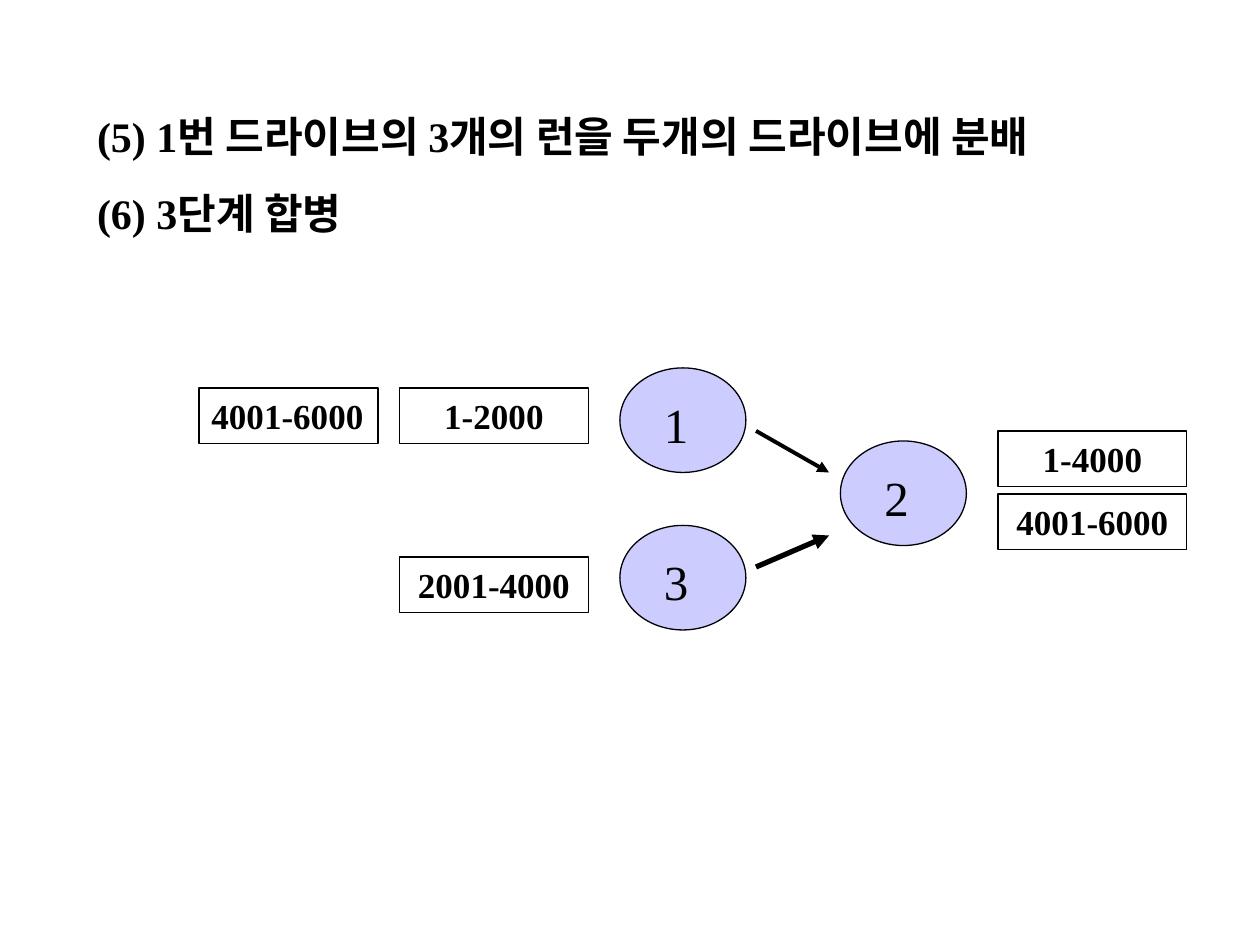
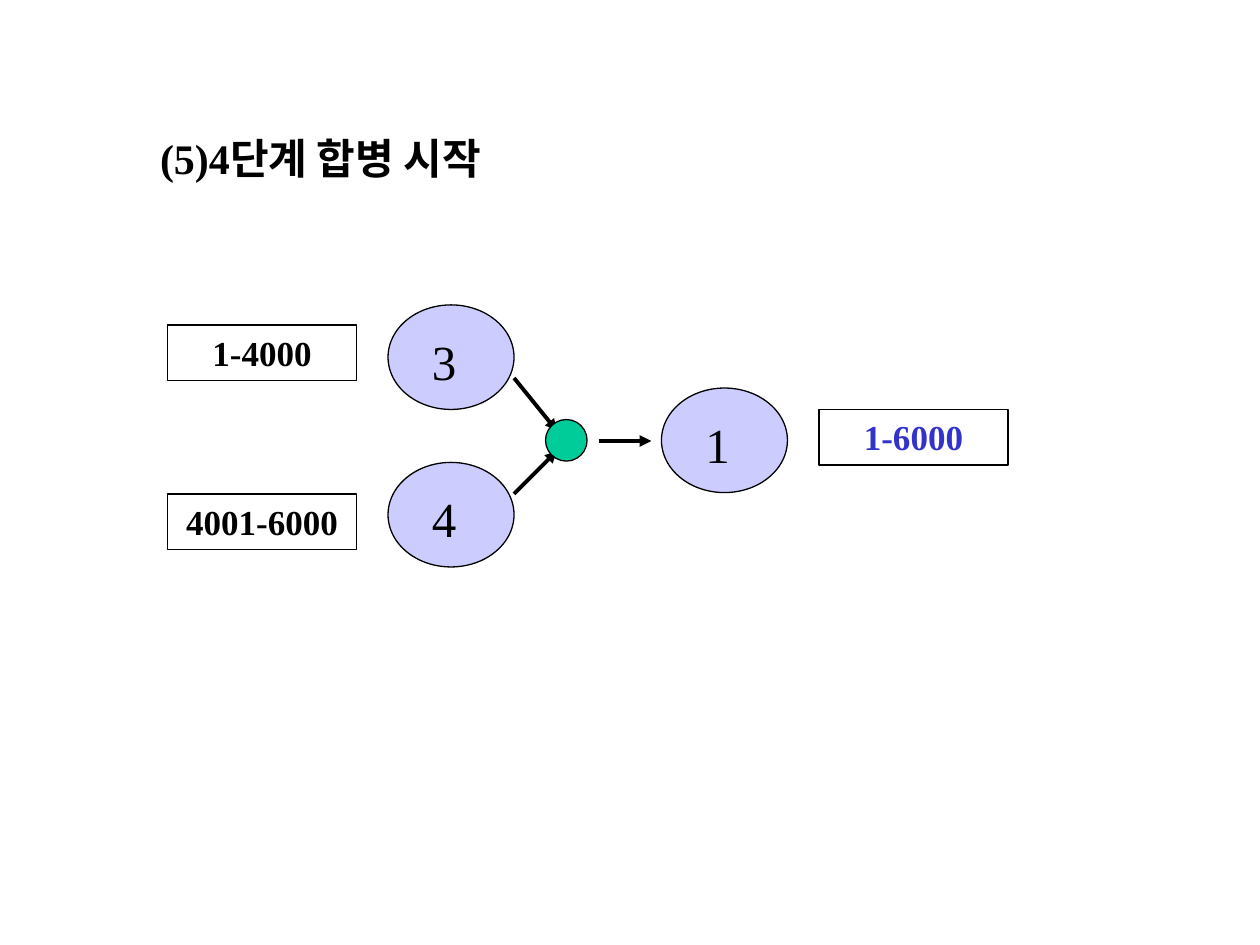
from dataclasses import dataclass

from lxml import etree
from pptx import Presentation
from pptx.dml.color import RGBColor
from pptx.enum.shapes import MSO_CONNECTOR, MSO_SHAPE
from pptx.enum.text import MSO_ANCHOR, MSO_AUTO_SIZE, PP_ALIGN
from pptx.oxml.ns import qn
from pptx.util import Inches, Pt

OVAL, RECTANGLE = MSO_SHAPE.OVAL, MSO_SHAPE.RECTANGLE
STRAIGHT = MSO_CONNECTOR.STRAIGHT
TOP, NO_AUTOFIT = MSO_ANCHOR.TOP, MSO_AUTO_SIZE.NONE
LEFT, CENTER = PP_ALIGN.LEFT, PP_ALIGN.CENTER
TITLE_ONLY = 5


@dataclass(frozen=True)
class Theme:
    """Colours, type sizes and element sizes shared by the slides."""
    font: str = "Times New Roman"
    ink: RGBColor = RGBColor(0x00, 0x00, 0x00)
    drive: RGBColor = RGBColor(0xCC, 0xCC, 0xFF)
    merge: RGBColor = RGBColor(0x00, 0xCC, 0x99)
    result: RGBColor = RGBColor(0x33, 0x33, 0xCC)
    title_size: float = 24
    drive_size: float = 28
    run_size: float = 20
    outline: float = 0.75
    arrow: float = 2.25
    drive_box: tuple = (1, 0.83)
    run_height: float = 0.44
    run_width: float = 1.5
    merge_diameter: float = 0.33


THEME = Theme()


def apply_format(target, values):
    """Set each named attribute on the target."""
    for name, value in values.items():
        setattr(target, name, value)


def write_text(shape, lines, size, bold=True, color=THEME.ink, alignment=LEFT):
    """Write one paragraph per line in the shared type style."""
    frame = shape.text_frame
    apply_format(frame, {
        "text": "\n".join(lines), "word_wrap": True, "auto_size": NO_AUTOFIT,
        "vertical_anchor": TOP,
        "margin_left": Inches(0.1), "margin_right": Inches(0.1),
        "margin_top": Inches(0.05), "margin_bottom": Inches(0.05)})
    for paragraph in frame.paragraphs:
        apply_format(paragraph, {"alignment": alignment, "line_spacing": 1.0,
                                 "space_before": Pt(size * 0.625)})
        for run in paragraph.runs:
            apply_format(run.font, {"name": THEME.font, "size": Pt(size), "bold": bold})
            run.font.color.rgb = color


def add_title(slide, left, top, width, height, lines):
    """Place the title placeholder and fill it."""
    title = slide.shapes.title
    apply_format(title, {"left": Inches(left), "top": Inches(top),
                         "width": Inches(width), "height": Inches(height)})
    write_text(title, lines, THEME.title_size)


def add_outlined(slide, kind, left, top, width, height, fill=None):
    """Add a thinly outlined shape, filled only when a colour is given."""
    shape = slide.shapes.add_shape(
        kind, Inches(left), Inches(top), Inches(width), Inches(height))
    shape.shadow.inherit = False
    shape.line.color.rgb = THEME.ink
    shape.line.width = Pt(THEME.outline)
    if fill is None:
        shape.fill.background()
    else:
        shape.fill.solid()
        shape.fill.fore_color.rgb = fill
    return shape


def add_drive(slide, left, top, number):
    """Add a drive ellipse with its number."""
    add_outlined(slide, OVAL, left, top, *THEME.drive_box, fill=THEME.drive)
    label = slide.shapes.add_textbox(
        Inches(left + 0.25), Inches(top + 0.16), Inches(0.5), Inches(0.57))
    write_text(label, [number], THEME.drive_size, bold=False)


def add_run_box(slide, left, top, key_range, width=THEME.run_width,
                color=THEME.ink, alignment=CENTER):
    """Add a box naming the key range of a sorted run."""
    box = add_outlined(slide, RECTANGLE, left, top, width, THEME.run_height)
    write_text(box, [key_range], THEME.run_size, color=color, alignment=alignment)


def add_arrow(slide, start, end, weight=THEME.arrow):
    """Add a straight arrow between two points."""
    arrow = slide.shapes.add_connector(
        STRAIGHT, *(Inches(value) for value in (*start, *end)))
    arrow.line.color.rgb = THEME.ink
    arrow.line.width = Pt(weight)
    etree.SubElement(arrow.line._get_or_add_ln(), qn("a:tailEnd"), type="triangle")
    etree.SubElement(arrow._element.spPr, qn("a:effectLst"))


def build_third_merge(slide):
    """Draw the distribution of runs and the third merge."""
    add_title(slide, 0.67, 0.83, 8.58, 1.11,
              ["(5) 1번 드라이브의 3개의 런을 두개의 드라이브에 분배", "(6) 3단계 합병"])
    for left, top, number in ((4.92, 2.92, "1"), (4.92, 4.17, "3"), (6.67, 3.5, "2")):
        add_drive(slide, left, top, number)
    for left, top, key_range in ((3.17, 3.08, "1-2000"), (3.17, 4.42, "2001-4000"),
                                 (7.92, 3.42, "1-4000"), (7.92, 3.92, "4001-6000")):
        add_run_box(slide, left, top, key_range)
    add_run_box(slide, 1.58, 3.08, "4001-6000", width=1.42, alignment=LEFT)
    add_arrow(slide, (6, 3.42), (6.58, 3.75))
    add_arrow(slide, (6, 4.5), (6.58, 4.25), weight=3)


def build_fourth_merge(slide):
    """Draw the fourth merge, which yields the sorted result."""
    add_title(slide, 1.17, 1, 6.17, 0.5, ["(5)4단계 합병 시작"])
    for left, top, number in ((3.08, 2.42, "3"), (3.08, 3.67, "4"), (5.25, 3.08, "1")):
        add_drive(slide, left, top, number)
    add_run_box(slide, 1.33, 2.58, "1-4000")
    add_run_box(slide, 1.33, 3.92, "4001-6000")
    add_run_box(slide, 6.5, 3.25, "1-6000", color=THEME.result)
    for start, end in (((4.08, 3), (4.42, 3.42)), ((4.08, 3.92), (4.42, 3.58)),
                       ((4.75, 3.5), (5.17, 3.5))):
        add_arrow(slide, start, end)
    add_outlined(slide, OVAL, 4.33, 3.33, THEME.merge_diameter, THEME.merge_diameter,
                 fill=THEME.merge)


def main():
    """Build and save the presentation."""
    presentation = Presentation()
    presentation.slide_width = Inches(10)
    presentation.slide_height = Inches(7.5)
    for build in (build_third_merge, build_fourth_merge):
        build(presentation.slides.add_slide(presentation.slide_layouts[TITLE_ONLY]))
    presentation.save("out.pptx")


if __name__ == "__main__":
    main()
